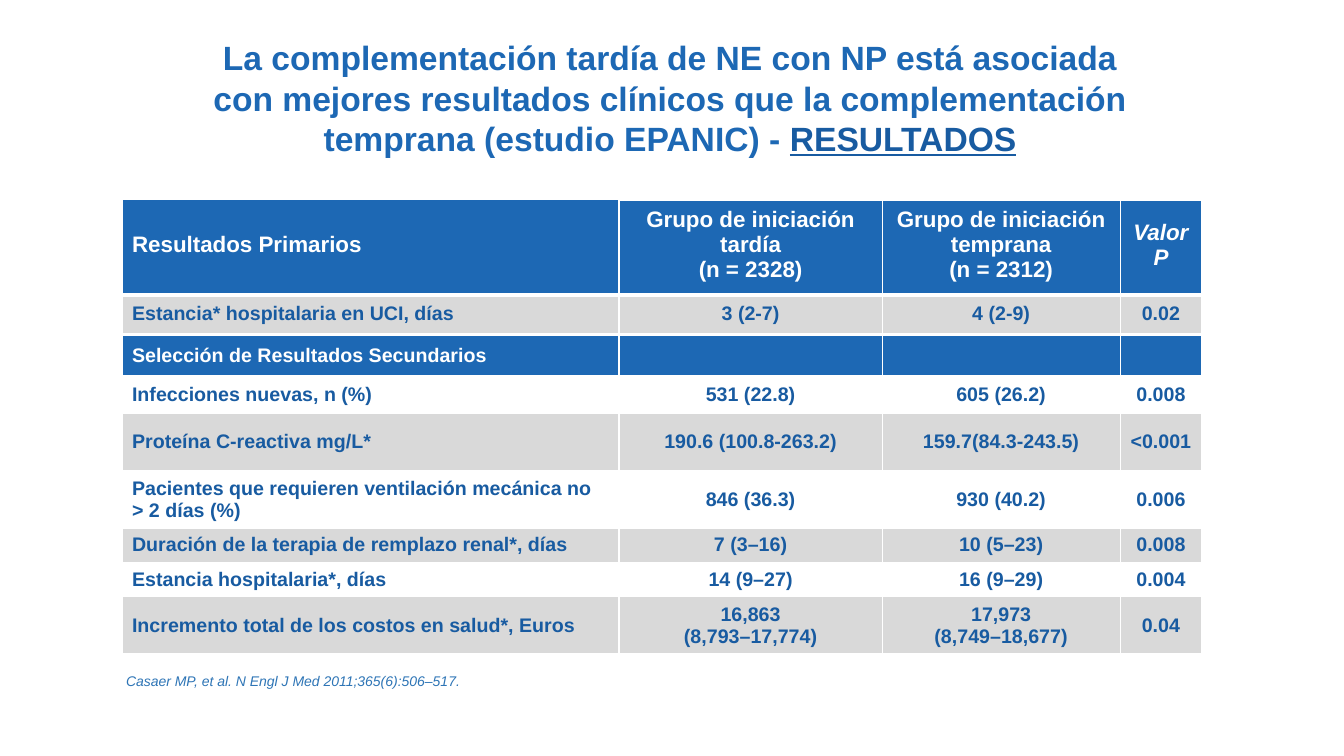
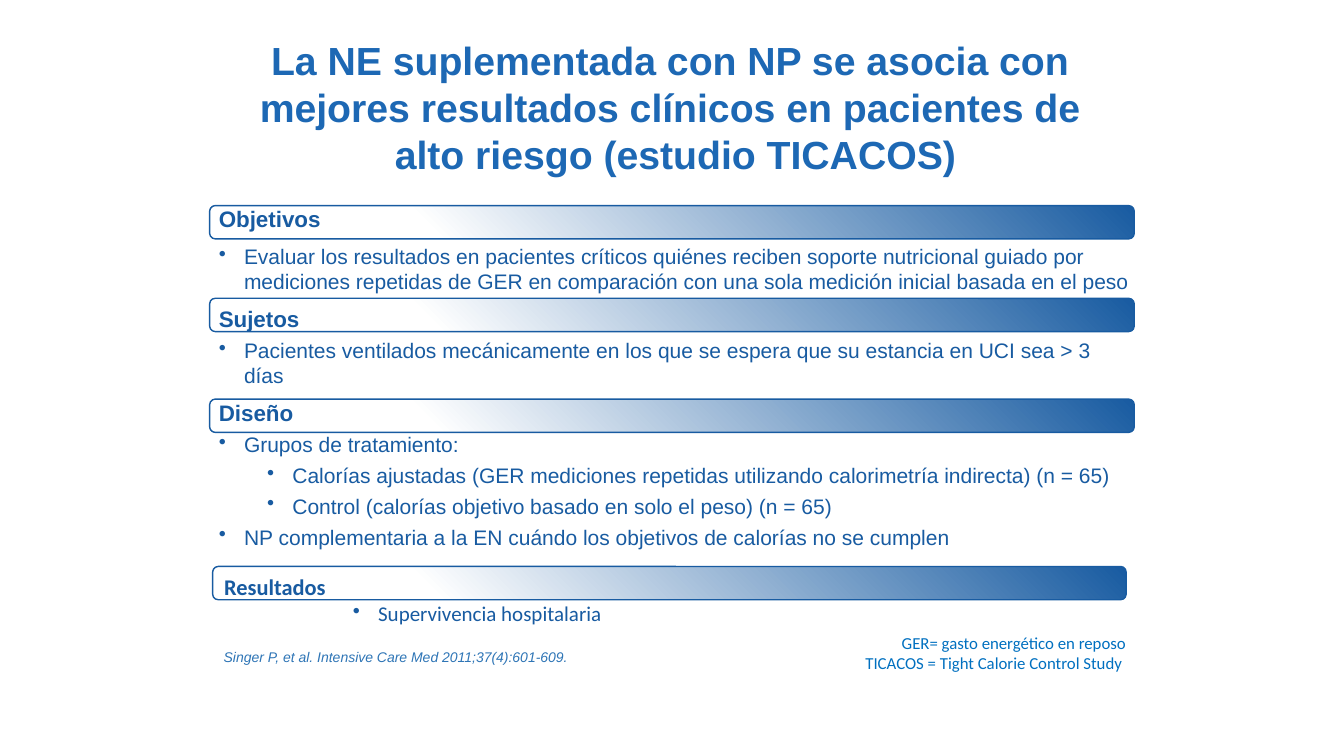
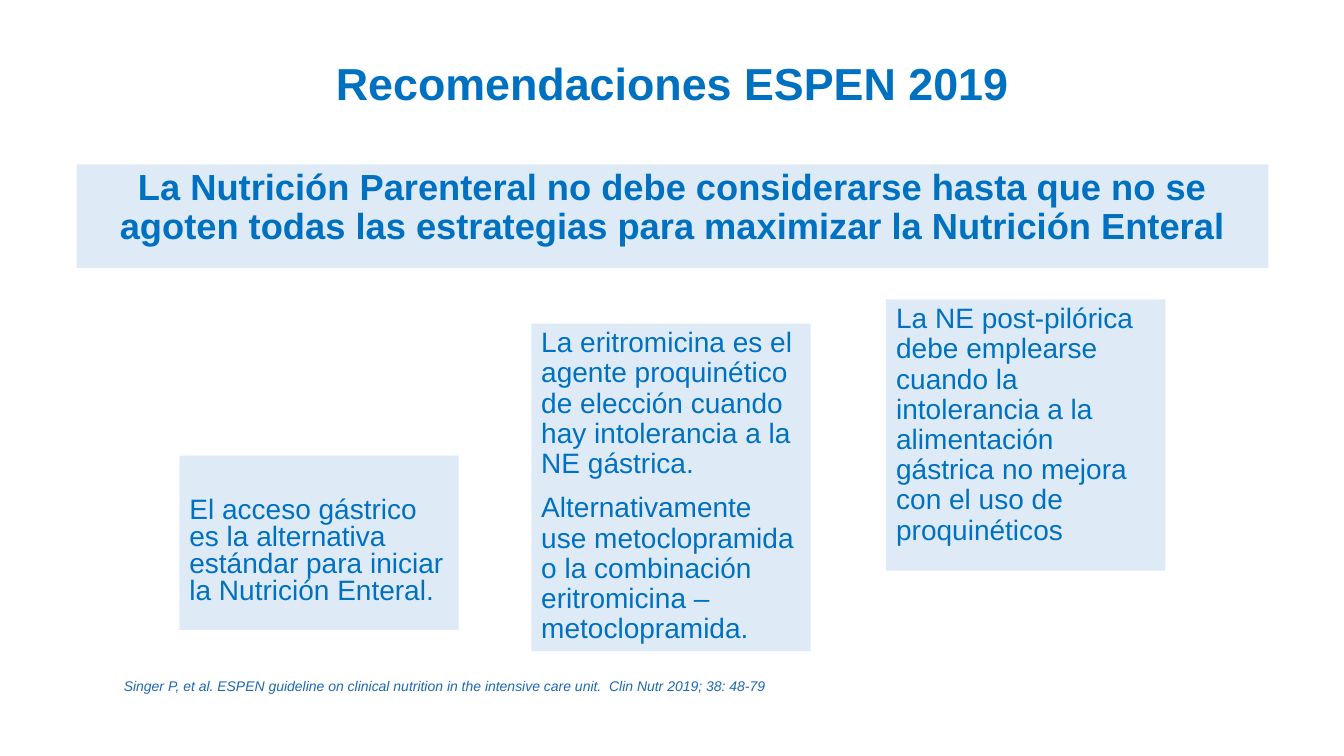
"""Build three slides on supplemental parenteral nutrition."""
import dataclasses

import pptx
import pptx.dml.color
import pptx.enum.dml
import pptx.enum.shapes
import pptx.enum.text
import pptx.oxml.ns
import pptx.oxml.xmlchemy
import pptx.util
from lxml import etree

PX = 9144
BLUE, DARK, BRIGHT = "1D68B4", "185BA1", "0070C0"
CITATION, PALE, GREY, WHITE = "2E75B6", "DEEBF7", "D9D9D9", "FFFFFF"
LEFT, CENTER, RIGHT = (
    pptx.enum.text.PP_ALIGN.LEFT,
    pptx.enum.text.PP_ALIGN.CENTER,
    pptx.enum.text.PP_ALIGN.RIGHT,
)
TOP, MIDDLE, BOTTOM = (
    pptx.enum.text.MSO_ANCHOR.TOP,
    pptx.enum.text.MSO_ANCHOR.MIDDLE,
    pptx.enum.text.MSO_ANCHOR.BOTTOM,
)
RECTANGLE = pptx.enum.shapes.MSO_SHAPE.RECTANGLE
ROUNDED = pptx.enum.shapes.MSO_SHAPE.ROUNDED_RECTANGLE
INSETS = (10, 5, 10, 5)
FLUSH = (0, 0, 0, 0)

COLUMN_WIDTHS = (493, 261, 236, 81)
ROW_HEIGHTS = (93, 39, 42, 36, 57, 57, 34, 34, 57)
ROW_FILLS = (BLUE, GREY, BLUE, WHITE, GREY, WHITE, GREY, WHITE, GREY)
RESULTS = (
    ("Resultados Primarios", "Grupo de iniciación tardía\n(n = 2328)",
     "Grupo de iniciación temprana\n(n = 2312)", "Valor P"),
    ("Estancia* hospitalaria en UCI, días", "3 (2-7)", "4 (2-9)", "0.02"),
    ("Selección de Resultados Secundarios", "", "", ""),
    ("Infecciones nuevas, n (%)", "531 (22.8)", "605 (26.2)", "0.008"),
    ("Proteína C-reactiva mg/L*", "190.6 (100.8-263.2)",
     "159.7(84.3-243.5)", "<0.001"),
    ("Pacientes que requieren ventilación mecánica no > 2 días (%)",
     "846 (36.3)", "930 (40.2)", "0.006"),
    ("Duración de la terapia de remplazo renal*, días", "7 (3–16)",
     "10 (5–23)", "0.008"),
    ("Estancia hospitalaria*, días", "14 (9–27)", "16 (9–29)", "0.004"),
    ("Incremento total de los costos en salud*, Euros",
     "16,863\n(8,793–17,774)", "17,973\n(8,749–18,677)", "0.04"),
)


@dataclasses.dataclass
class Text:
    """One paragraph and its look."""

    words: str
    size: float
    color: str
    bold: bool = False
    italic: bool = False
    align: int = LEFT
    font: str = "Arial"
    before: int = 0
    after: int = 0
    spacing: float = 1.0
    bullet: int = 0


def px(length):
    """Turn px into EMU."""
    return pptx.util.Emu(length * PX)


def rgb(color):
    """Turn a hex string into a colour."""
    return pptx.dml.color.RGBColor.from_string(color)


def set_bullet(paragraph, margin):
    """Hang a bullet 25 px before the text margin."""
    properties = paragraph._p.get_or_add_pPr()
    properties.set("marL", str(px(margin)))
    properties.set("indent", str(px(-25)))
    bullet = etree.SubElement(properties, pptx.oxml.ns.qn("a:buChar"))
    bullet.set("char", "•")


def write_paragraph(paragraph, text):
    """Write one Text into a paragraph."""
    if text.bullet:
        set_bullet(paragraph, text.bullet)
    paragraph.text = text.words
    paragraph.alignment = text.align
    paragraph.line_spacing = text.spacing
    paragraph.space_before = pptx.util.Pt(text.before)
    paragraph.space_after = pptx.util.Pt(text.after)
    font = paragraph.font
    font.name, font.size = text.font, pptx.util.Pt(text.size)
    font.bold, font.italic = text.bold, text.italic
    font.color.rgb = rgb(text.color)


def write_frame(shape, texts, anchor=TOP, insets=INSETS):
    """Fill the text frame of a shape with paragraphs."""
    frame = shape.text_frame
    frame.word_wrap = True
    frame.vertical_anchor = anchor
    (frame.margin_left, frame.margin_top,
     frame.margin_right, frame.margin_bottom) = map(px, insets)
    for index, text in enumerate(texts):
        paragraph = frame.add_paragraph() if index else frame.paragraphs[0]
        write_paragraph(paragraph, text)
    return shape


def add_text(slide, box, texts, anchor=TOP, insets=INSETS):
    """Add a wrapped text box."""
    shape = slide.shapes.add_textbox(*map(px, box))
    return write_frame(shape, texts, anchor, insets)


def add_title(slide, box, lines, size, color=BLUE, spacing=1.0, anchor=TOP):
    """Add a bold centred title."""
    texts = [Text(line, size, color, bold=True, align=CENTER, spacing=spacing)
             for line in lines]
    return add_text(slide, box, texts, anchor)


def add_citation(slide, box, words, color=CITATION, **layout):
    """Add a small italic source line."""
    add_text(slide, box, [Text(words, 10, color, italic=True)], **layout)


def add_panel(slide, box, texts, insets=INSETS):
    """Add a pale rectangle with text."""
    shape = slide.shapes.add_shape(RECTANGLE, *map(px, box))
    shape.shadow.inherit = False
    shape.fill.solid()
    shape.fill.fore_color.rgb = rgb(PALE)
    shape.line.fill.background()
    write_frame(shape, texts, insets=insets)


def add_band(slide, box):
    """Add a rounded band fading from blue at the right to white."""
    shape = slide.shapes.add_shape(ROUNDED, *map(px, box))
    shape.shadow.inherit = False
    shape.fill.gradient()
    shape.fill.gradient_angle = 225
    stops = zip(shape.fill.gradient_stops, (DARK, WHITE), (0, 0.76))
    for stop, color, position in stops:
        stop.color.rgb = rgb(color)
        stop.position = position
    shape.line.color.rgb = rgb(DARK)
    shape.line.width = pptx.util.Pt(1)
    return shape


def set_borders(cell, top, bottom):
    """Draw white cell borders, with top and bottom widths in points."""
    properties = cell._tc.get_or_add_tcPr()
    widths = {"a:lnL": 1, "a:lnR": 1, "a:lnT": top, "a:lnB": bottom}
    for index, (tag, width) in enumerate(widths.items()):
        line = etree.Element(pptx.oxml.ns.qn(tag))
        line.set("w", str(pptx.util.Pt(width)))
        fill = etree.SubElement(line, pptx.oxml.ns.qn("a:solidFill"))
        color = etree.SubElement(fill, pptx.oxml.ns.qn("a:srgbClr"))
        color.set("val", WHITE)
        properties.insert(index, line)


def format_cell(cell, words, row, column):
    """Write and style one cell of the results table."""
    cell.fill.solid()
    cell.fill.fore_color.rgb = rgb(ROW_FILLS[row])
    cell.vertical_anchor = BOTTOM if row in (1, 2) else MIDDLE
    cell.margin_left = cell.margin_right = px(10)
    cell.margin_top = px(5)
    cell.margin_bottom = px(10 if row < 3 else 5)
    write_paragraph(cell.text_frame.paragraphs[0], Text(
        words, 14 if row else 16, WHITE if ROW_FILLS[row] == BLUE else DARK,
        bold=True, italic=words == "Valor P",
        align=CENTER if column else LEFT))
    top = 3 if row < 4 and (row or column) else 1
    set_borders(cell, top, 3 if row < 3 else 1)


def add_results_table(slide, left, top):
    """Add the table of primary and secondary results."""
    table = slide.shapes.add_table(
        len(ROW_HEIGHTS), len(COLUMN_WIDTHS), px(left), px(top),
        px(sum(COLUMN_WIDTHS)), px(sum(ROW_HEIGHTS))).table
    for column, width in zip(table.columns, COLUMN_WIDTHS):
        column.width = px(width)
    for row, height in zip(table.rows, ROW_HEIGHTS):
        row.height = px(height)
    for row, values in enumerate(RESULTS):
        for column, words in enumerate(values):
            format_cell(table.cell(row, column), words, row, column)


def build_epanic(slide):
    """Build the slide with the EPANIC results."""
    add_citation(slide, (125, 667, 465, 17),
                 "Casaer MP, et al. N Engl J Med 2011;365(6):506–517.",
                 anchor=BOTTOM, insets=FLUSH)
    add_results_table(slide, 121, 198)
    title = add_title(slide, (187, 32, 955, 116), [
        "La complementación tardía de NE con NP está asociada\n"
        "con mejores resultados clínicos que la complementación "
        "temprana (estudio EPANIC) - "], 24)
    run = title.text_frame.paragraphs[0].add_run()
    run.text = "RESULTADOS"
    run.font.underline = True
    run.font.color.rgb = rgb(DARK)


def heading(words):
    """Describe a section heading."""
    return Text(words, 16, DARK, bold=True, before=4, after=4)


def item(words, margin=25, before=0, font="Arial"):
    """Describe a bulleted item."""
    return Text(words, 15, DARK, font=font, before=before, after=4,
                bullet=margin)


def build_ticacos(slide):
    """Build the slide on the design of the TICACOS study."""
    add_text(slide, (788, 628, 329, 40), [
        Text(words, 12, BRIGHT, align=RIGHT, font="Calibri")
        for words in ("GER= gasto energético en reposo",
                      "TICACOS = Tight Calorie Control Study ")
    ], BOTTOM, FLUSH)
    add_title(slide, (206, 31, 917, 125), [
        "La NE suplementada con NP se asocia con mejores resultados "
        "clínicos en pacientes de",
        " alto riesgo (estudio TICACOS)"], 28)
    for top in (204, 296, 396):
        add_band(slide, (208, top, 917, 33))
    add_text(slide, (217, 204, 908, 467), [
        heading("Objetivos"),
        item("Evaluar los resultados en pacientes críticos quiénes reciben "
             "soporte nutricional guiado por mediciones repetidas de GER en "
             "comparación con una sola medición inicial basada en el peso",
             before=4),
        heading("Sujetos"),
        item("Pacientes ventilados mecánicamente en los que se espera que "
             "su estancia en UCI sea > 3 días"),
        heading("Diseño"),
        item("Grupos de tratamiento:"),
        item("Calorías ajustadas (GER mediciones repetidas utilizando "
             "calorimetría indirecta) (n = 65)", 73),
        item("Control (calorías objetivo basado en solo el peso) (n = 65)",
             73),
        item("NP complementaria a la EN cuándo los objetivos de calorías "
             "no se cumplen"),
    ], insets=FLUSH)
    write_frame(add_band(slide, (211, 562, 906, 33)), [
        Text("Resultados", 16, DARK, bold=True, font="Calibri")])
    add_text(slide, (350, 596, 731, 33), [
        item("Supervivencia hospitalaria", before=4, font="Calibri")],
        insets=FLUSH)
    add_citation(slide, (212, 638, 574, 27),
                 "Singer P, et al. Intensive Care Med 2011;37(4):601-609.")


def advice(words, spacing=0.9, before=10):
    """Describe a paragraph of a recommendation."""
    return Text(words, 20, BRIGHT, spacing=spacing, before=before)


def build_espen(slide):
    """Build the slide with the ESPEN recommendations."""
    add_title(slide, (292, 13, 750, 145), ["Recomendaciones ESPEN 2019"], 32,
              BRIGHT, 0.9, MIDDLE)
    add_panel(slide, (76, 163, 1182, 103), [
        Text("La Nutrición Parenteral no debe considerarse hasta que no se "
             "agoten todas las estrategias para maximizar la Nutrición "
             "Enteral", 25.9, BRIGHT, bold=True, align=CENTER, before=10,
             spacing=0.9)])
    add_panel(slide, (178, 452, 277, 173), [
        advice("El acceso gástrico es la alternativa estándar para iniciar "
               "la Nutrición Enteral.", 0.8, 0)], (10, 42, 10, 5))
    add_panel(slide, (527, 321, 277, 325), [
        advice("La eritromicina es el agente proquinético de elección "
               "cuando hay intolerancia a la NE gástrica."),
        advice("Alternativamente use metoclopramida o la combinación "
               "eritromicina – metoclopramida.")])
    add_panel(slide, (879, 297, 277, 269), [
        advice("La NE post-pilórica debe emplearse cuando la intolerancia a "
               "la alimentación gástrica no mejora con el uso de "
               "proquinéticos")])
    add_citation(slide, (113, 667, 683, 27),
                 "Singer P, et al. ESPEN guideline on clinical nutrition in "
                 "the intensive care unit.  Clin Nutr 2019; 38: 48-79", BLUE)


def main():
    """Build and save the presentation."""
    presentation = pptx.Presentation()
    presentation.slide_width, presentation.slide_height = px(1333), px(750)
    for build in (build_epanic, build_ticacos, build_espen):
        build(presentation.slides.add_slide(presentation.slide_layouts[6]))
    presentation.save("out.pptx")


if __name__ == "__main__":
    main()
